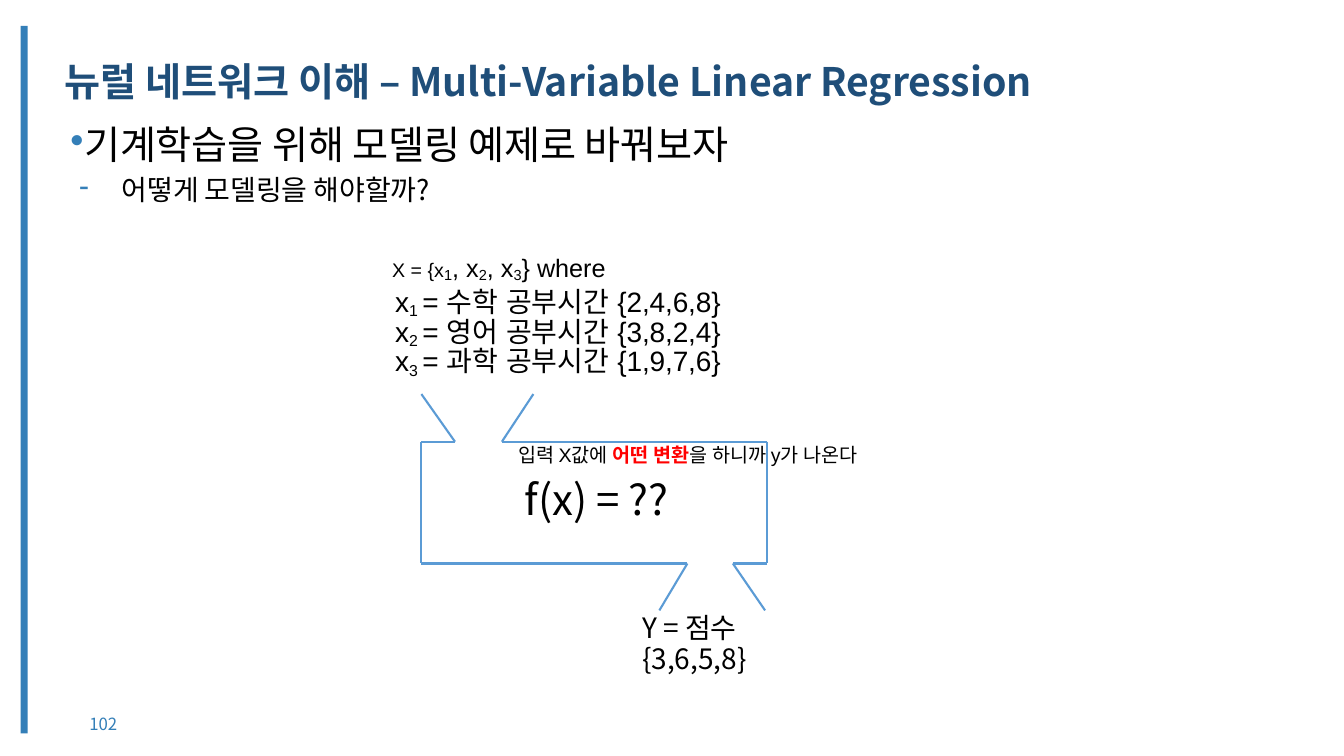
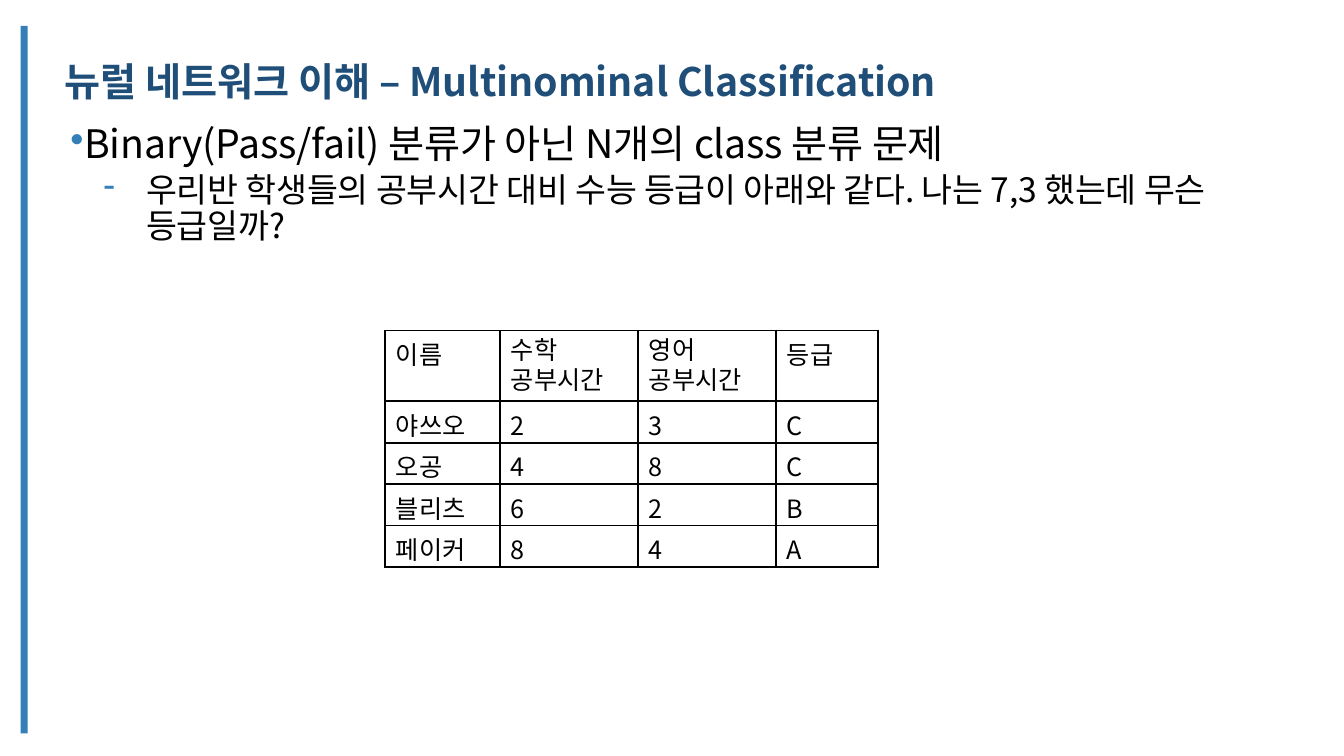
from itertools import pairwise

from lxml import etree
from pptx import Presentation
from pptx.dml.color import RGBColor
from pptx.enum.shapes import MSO_CONNECTOR, MSO_SHAPE
from pptx.enum.text import MSO_ANCHOR, PP_ALIGN
from pptx.oxml.ns import qn
from pptx.util import Pt

STRAIGHT = MSO_CONNECTOR.STRAIGHT
RECTANGLE = MSO_SHAPE.RECTANGLE
MIDDLE = MSO_ANCHOR.MIDDLE
CENTER = PP_ALIGN.CENTER

COLORS = {"accent": "347FB8", "title": "1F4E79", "text": "000000",
          "line": "5B9BD5", "highlight": "FF0000", "background": "FFFFFF"}
KOREAN, LATIN, BOLD_FONT = "Noto Sans CJK KR", "Arial", "Roboto"

# Content: (title, body top, page number, body paragraphs)
# Body paragraph: (text, size, bullet, left margin, indent, space before)
REGRESSION = (
    "뉴럴 네트워크 이해 – Multi-Variable Linear Regression", 86.4, "102",
    [("기계학습을 위해 모델링 예제로 바꿔보자", 28, "•", 0.72, -18, 0),
     ("어떻게 모델링을 해야할까?", 20, "-", 36.72, -30.24, 6)])
CLASSIFICATION = (
    "뉴럴 네트워크 이해 – Multinominal Classification", 85.7, None,
    [("Binary(Pass/fail) 분류가 아닌 N개의 class 분류 문제", 28, "•", 0.72, -18, 0),
     ("우리반 학생들의 공부시간 대비 수능 등급이 아래와 같다. "
      "나는 7,3 했는데 무슨 등급일까?", 24, "-", 54, -30.24, 4.2)])

INPUTS = [("1", "수학", "{2,4,6,8}"), ("2", "영어", "{3,8,2,4}"), ("3", "과학", "{1,9,7,6}")]
NOTE = [("입력 ", KOREAN, False), ("X", LATIN, False), ("값에 ", KOREAN, False),
        ("어떤 변환", BOLD_FONT, True), ("을 하니까 ", KOREAN, False),
        ("y", LATIN, False), ("가 나온다", KOREAN, False)]

# The two halves of the function box with its inlet and outlet
OUTLINES = [
    [(301, 281.5), (325, 315.5), (301, 315.5), (301, 402.5), (491, 402.5), (471, 436)],
    [(381, 281.5), (358.5, 315.5), (548, 315.5), (548, 402.5), (523.5, 402.5), (546.5, 436)],
]

GRADES = [["이름", "수학 공부시간", "영어 공부시간", "등급"],
          ["야쓰오", "2", "3", "C"], ["오공", "4", "8", "C"],
          ["블리츠", "6", "2", "B"], ["페이커", "8", "4", "A"]]
COLUMN_WIDTHS = [82.1, 98.6, 98.6, 72.7]
ROW_HEIGHTS = [50.6] + [29.6] * 4


def rgb(name):
    return RGBColor.from_string(COLORS[name])


def add_run(paragraph, text, size, font=KOREAN, color="text", bold=False,
            baseline=0, spacing=0):
    run = paragraph.add_run()
    run.text = text
    run.font.size = Pt(size)
    run.font.name = font
    run.font.bold = bold
    run.font.color.rgb = rgb(color)
    properties = run._r.get_or_add_rPr()
    if baseline:
        properties.set("baseline", str(baseline * 1000))
    if spacing:
        properties.set("spc", str(round(spacing * 100)))
    east_asian = etree.Element(qn("a:ea"), typeface=font)
    properties.find(qn("a:latin")).addnext(east_asian)


def set_indent(paragraph, left, first=0):
    properties = paragraph._p.get_or_add_pPr()
    properties.set("marL", str(Pt(left)))
    properties.set("indent", str(Pt(first)))
    return properties


def set_margins(target, left, top, right, bottom):
    target.margin_left, target.margin_top = Pt(left), Pt(top)
    target.margin_right, target.margin_bottom = Pt(right), Pt(bottom)


def add_text(slide, left, top, width, height, margins=(0, 0, 0, 0)):
    frame = slide.shapes.add_textbox(Pt(left), Pt(top), Pt(width), Pt(height)).text_frame
    frame.word_wrap = True
    set_margins(frame, *margins)
    return frame


def add_bullet(paragraph, bullet, left, first):
    properties = set_indent(paragraph, left, first)
    color = etree.SubElement(properties, qn("a:buClr"))
    etree.SubElement(color, qn("a:srgbClr"), val=COLORS["accent"])
    etree.SubElement(properties, qn("a:buChar"), char=bullet)
    tabs = etree.SubElement(properties, qn("a:tabLst"))
    etree.SubElement(tabs, qn("a:tab"), pos=str(Pt(36.72)), algn="l")


def add_base_slide(presentation, title, body_top, number, body):
    """Add a slide with side band, title, bulleted body and page number."""
    slide = presentation.slides.add_slide(presentation.slide_layouts[6])
    slide.background.fill.solid()
    slide.background.fill.fore_color.rgb = rgb("background")

    band = slide.shapes.add_shape(RECTANGLE, Pt(14.8), Pt(18.5), Pt(5), Pt(505.4))
    band.shadow.inherit = False
    band.fill.solid()
    band.fill.fore_color.rgb = rgb("accent")
    band.line.fill.background()

    paragraph = add_text(slide, 43.2, 41.8, 882, 63.4, (2.9,) * 4).paragraphs[0]
    paragraph.line_spacing = 0.9
    add_run(paragraph, title, 28, color="title", bold=True)

    frame = add_text(slide, 43.2, body_top, 882, 424, (7.2, 3.6, 7.2, 3.6))
    for index, (text, size, bullet, left, first, before) in enumerate(body):
        paragraph = frame.add_paragraph() if index else frame.paragraphs[0]
        add_bullet(paragraph, bullet, left, first)
        paragraph.line_spacing = 0.9
        if before:
            paragraph.space_before = Pt(before)
        add_run(paragraph, text, size, spacing=-0.1)

    if number:
        frame = add_text(slide, 43.2, 510.5, 61.2, 13, (7.2, 3.6, 7.2, 3.6))
        frame.vertical_anchor = MIDDLE
        frame.paragraphs[0].alignment = CENTER
        add_run(frame.paragraphs[0], number, 12, color="accent")
    return slide


def add_inputs(slide):
    frame = add_text(slide, 279.4, 177.8, 420, 100, (0, 2.2, 0, 0))
    paragraph = frame.paragraphs[0]
    set_indent(paragraph, 0.72)
    add_run(paragraph, "X = {x", 14, LATIN)
    for index, (number, _, _) in enumerate(INPUTS):
        if index:
            add_run(paragraph, ", x", 18, LATIN)
        add_run(paragraph, number, 18, LATIN, baseline=-14)
    add_run(paragraph, "} where", 18, LATIN)

    for index, (number, subject, values) in enumerate(INPUTS):
        paragraph = frame.add_paragraph()
        set_indent(paragraph, 2.9)
        paragraph.line_spacing = Pt(21.4)
        if index == 0:
            paragraph.space_before = Pt(4.5)
        add_run(paragraph, "x", 20, LATIN)
        add_run(paragraph, number + " ", 19.5, LATIN, baseline=-17)
        add_run(paragraph, f"= {subject} 공부시간 ", 20, LATIN)
        add_run(paragraph, values, 20, LATIN, spacing=-0.1)


def add_function_box(slide):
    for outline in OUTLINES:
        for (x1, y1), (x2, y2) in pairwise(outline):
            line = slide.shapes.add_connector(STRAIGHT, Pt(x1), Pt(y1), Pt(x2), Pt(y2))
            line.line.color.rgb = rgb("line")
            line.line.width = Pt(1.5)
            etree.SubElement(line._element.spPr, qn("a:effectLst"))

    paragraph = add_text(slide, 370, 316.5, 300, 22).paragraphs[0]
    for text, font, marked in NOTE:
        add_run(paragraph, text, 14, font, "highlight" if marked else "text", marked)

    paragraph = add_text(slide, 375, 338.4, 113, 38).paragraphs[0]
    add_run(paragraph, "f(x) = ??", 30, spacing=-0.1)

    frame = add_text(slide, 458.6, 439, 157.7, 52)
    for index, text in enumerate(["Y = 점수", "{3,6,5,8}"]):
        paragraph = frame.add_paragraph() if index else frame.paragraphs[0]
        paragraph.line_spacing = 0.9
        add_run(paragraph, text, 20)


def add_cell_borders(cell):
    properties = cell._tc.get_or_add_tcPr()
    for index, side in enumerate(("a:lnL", "a:lnR", "a:lnT", "a:lnB")):
        border = etree.Element(qn(side), w=str(Pt(1.5)))
        fill = etree.SubElement(border, qn("a:solidFill"))
        etree.SubElement(fill, qn("a:srgbClr"), val=COLORS["text"])
        properties.insert(index, border)


def add_grades(slide):
    table = slide.shapes.add_table(
        len(GRADES), len(COLUMN_WIDTHS), Pt(275.2), Pt(236),
        Pt(sum(COLUMN_WIDTHS)), Pt(sum(ROW_HEIGHTS))).table
    table.first_row = table.horz_banding = False
    for column, width in zip(table.columns, COLUMN_WIDTHS):
        column.width = Pt(width)
    for row, height, texts in zip(table.rows, ROW_HEIGHTS, GRADES):
        row.height = Pt(height)
        for cell, text in zip(row.cells, texts):
            wraps = " " in text
            cell.fill.background()
            set_margins(cell, 0, 5 if wraps else 3.6, 0, 0)
            paragraph = cell.text_frame.paragraphs[0]
            set_indent(paragraph, 7.6)
            if wraps:
                paragraph.line_spacing = Pt(21.1)
            add_run(paragraph, text, 18)
            add_cell_borders(cell)


def main():
    presentation = Presentation()
    presentation.slide_width, presentation.slide_height = Pt(960), Pt(540)
    slide = add_base_slide(presentation, *REGRESSION)
    add_inputs(slide)
    add_function_box(slide)
    add_grades(add_base_slide(presentation, *CLASSIFICATION))
    presentation.save("out.pptx")


if __name__ == "__main__":
    main()
